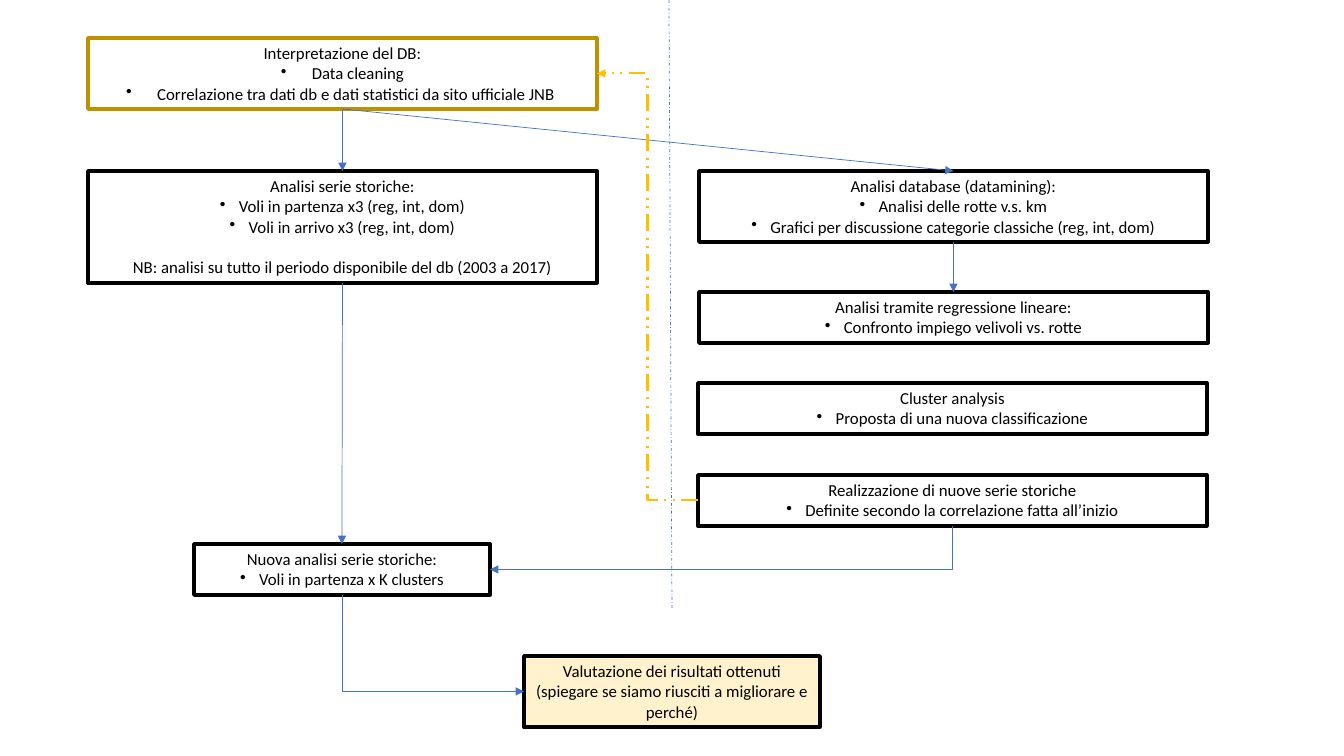
from lxml import etree
from pptx import Presentation
from pptx import util as u
from pptx.dml.color import RGBColor
from pptx.enum import dml, shapes, text
from pptx.oxml.ns import qn

PIXEL = 914400 / 100.8
BLACK = RGBColor(0x00, 0x00, 0x00)
BLUE = RGBColor(0x44, 0x72, 0xC4)
GOLD = RGBColor(0xBF, 0x90, 0x00)
AMBER = RGBColor(0xFF, 0xC0, 0x00)
CREAM = RGBColor(0xFF, 0xF2, 0xCC)
TOP, LEFT, BOTTOM, RIGHT = range(4)
WIDE, NARROW = 509, 296


def px(length):
    """Turn pixels into EMU."""
    return u.Emu(round(length * PIXEL))


class FlowSlide:
    """Style and elements of the flow chart slide."""

    font, size = "Calibri", u.Pt(12)

    def __init__(self, deck):
        """Add a blank slide to the deck."""
        self.slide = deck.slides.add_slide(deck.slide_layouts[6])

    def paragraph(self, para, words, indent=0):
        """Write a centred paragraph, bulleted when it has an indent."""
        para.alignment = text.PP_ALIGN.CENTER
        run = para.add_run()
        run.text = words
        run.font.name, run.font.size = self.font, self.size
        run.font.color.rgb = BLACK
        if indent:
            props = para._p.get_or_add_pPr()
            props.set("marL", str(px(indent)))
            props.set("indent", str(-px(indent)))
            etree.SubElement(props, qn("a:buChar")).set("char", "•")

    def step(self, left, top, width, heading, bullets=(), note=None,
             lines=None, indent=19, border=BLACK, fill=None):
        """Add a framed step whose height follows its number of lines."""
        lines = lines or 1 + len(bullets)
        height = round(10 + 20.4 * lines)
        box = self.slide.shapes.add_textbox(px(left), px(top), px(width), px(height))
        box.line.color.rgb, box.line.width = border, u.Pt(2.5)
        if fill is not None:
            box.fill.solid()
            box.fill.fore_color.rgb = fill
        frame = box.text_frame
        frame.word_wrap = True
        frame.auto_size = text.MSO_AUTO_SIZE.SHAPE_TO_FIT_TEXT
        self.paragraph(frame.paragraphs[0], heading)
        for bullet in bullets:
            self.paragraph(frame.add_paragraph(), bullet, indent)
        if note:
            closing = frame.add_paragraph()
            self.paragraph(closing, note)
            if bullets:
                closing.space_before = u.Pt(14.6)
        return box

    def line(self, kind, ends=(0, 0, 0, 0), color=BLUE, weight=0.5, dash=None, arrow=True):
        """Add a connector without shadow, with an optional arrowhead."""
        link = self.slide.shapes.add_connector(kind, *map(px, ends))
        link.line.color.rgb, link.line.width = color, u.Pt(weight)
        if dash is not None:
            link.line.dash_style = dash
        if arrow:
            etree.SubElement(link.line._get_or_add_ln(), qn("a:tailEnd")).set("type", "triangle")
        etree.SubElement(link._element.spPr, qn("a:effectLst"))
        return link

    def link(self, source, start, target, end, kind=shapes.MSO_CONNECTOR.STRAIGHT, **style):
        """Join two steps at the given sides."""
        arrow = self.line(kind, **style)
        arrow.begin_connect(source, start)
        arrow.end_connect(target, end)
        return arrow

    def corner(self, source, target, end):
        """Go down from the source, then sideways into the target."""
        arrow = self.link(source, BOTTOM, target, end, shapes.MSO_CONNECTOR.ELBOW)
        across, down = arrow.end_x - arrow.begin_x, arrow.end_y - arrow.begin_y
        middle_x = (arrow.begin_x + arrow.end_x) // 2
        middle_y = (arrow.begin_y + arrow.end_y) // 2
        arrow.width, arrow.height = down, abs(across)
        arrow.left, arrow.top = middle_x - down // 2, middle_y - abs(across) // 2
        properties = arrow._element.spPr
        properties.find(qn("a:prstGeom")).set("prst", "bentConnector2")
        frame = properties.find(qn("a:xfrm"))
        frame.set("rot", str((270 if across > 0 else 90) * 60000))
        frame.set("flipH", "1" if across > 0 else "0")
        frame.set("flipV", "0")


deck = Presentation()
deck.slide_width, deck.slide_height = px(1344), px(756)
flow = FlowSlide(deck)

interpretation = flow.step(
    88, 38, WIDE, "Interpretazione del DB:",
    ["Data cleaning", "Correlazione tra dati db e dati statistici da sito ufficiale JNB "],
    indent=31, border=GOLD)
time_series = flow.step(
    88, 171, WIDE, "Analisi serie storiche:",
    ["Voli in partenza x3 (reg, int, dom)", "Voli in arrivo x3 (reg, int, dom)"],
    note="NB: analisi su tutto il periodo disponibile del db (2003 a 2017)", lines=5)
datamining = flow.step(
    699, 171, WIDE, "Analisi database (datamining):",
    ["Analisi delle rotte v.s. km",
     "Grafici per discussione categorie classiche (reg, int, dom)"])
regression = flow.step(
    699, 292, WIDE, "Analisi tramite regressione lineare:",
    ["Confronto impiego velivoli vs. rotte"])
flow.step(698, 383, WIDE, "Cluster analysis", ["Proposta di una nuova classificazione"])
new_series = flow.step(
    698, 475, WIDE, "Realizzazione di nuove serie storiche",
    ["Definite secondo la correlazione fatta all’inizio"])
new_analysis = flow.step(
    194, 544, NARROW, "Nuova analisi serie storiche:", ["Voli in partenza x K clusters"])
evaluation = flow.step(
    524, 656, NARROW, "Valutazione dei risultati ottenuti",
    note="(spiegare se siamo riusciti a migliorare e perché)", lines=3, fill=CREAM)

for source, target in [(interpretation, time_series), (interpretation, datamining),
                       (datamining, regression), (time_series, new_analysis)]:
    flow.link(source, BOTTOM, target, TOP)
flow.line(shapes.MSO_CONNECTOR.STRAIGHT, (669, 0, 672, 608),
          dash=dml.MSO_LINE.DASH_DOT, arrow=False)
flow.link(new_series, LEFT, interpretation, RIGHT, shapes.MSO_CONNECTOR.ELBOW,
          color=AMBER, weight=1.5, dash=dml.MSO_LINE.DASH_DOT_DOT)
flow.corner(new_series, new_analysis, RIGHT)
flow.corner(new_analysis, evaluation, LEFT)

deck.save("out.pptx")
